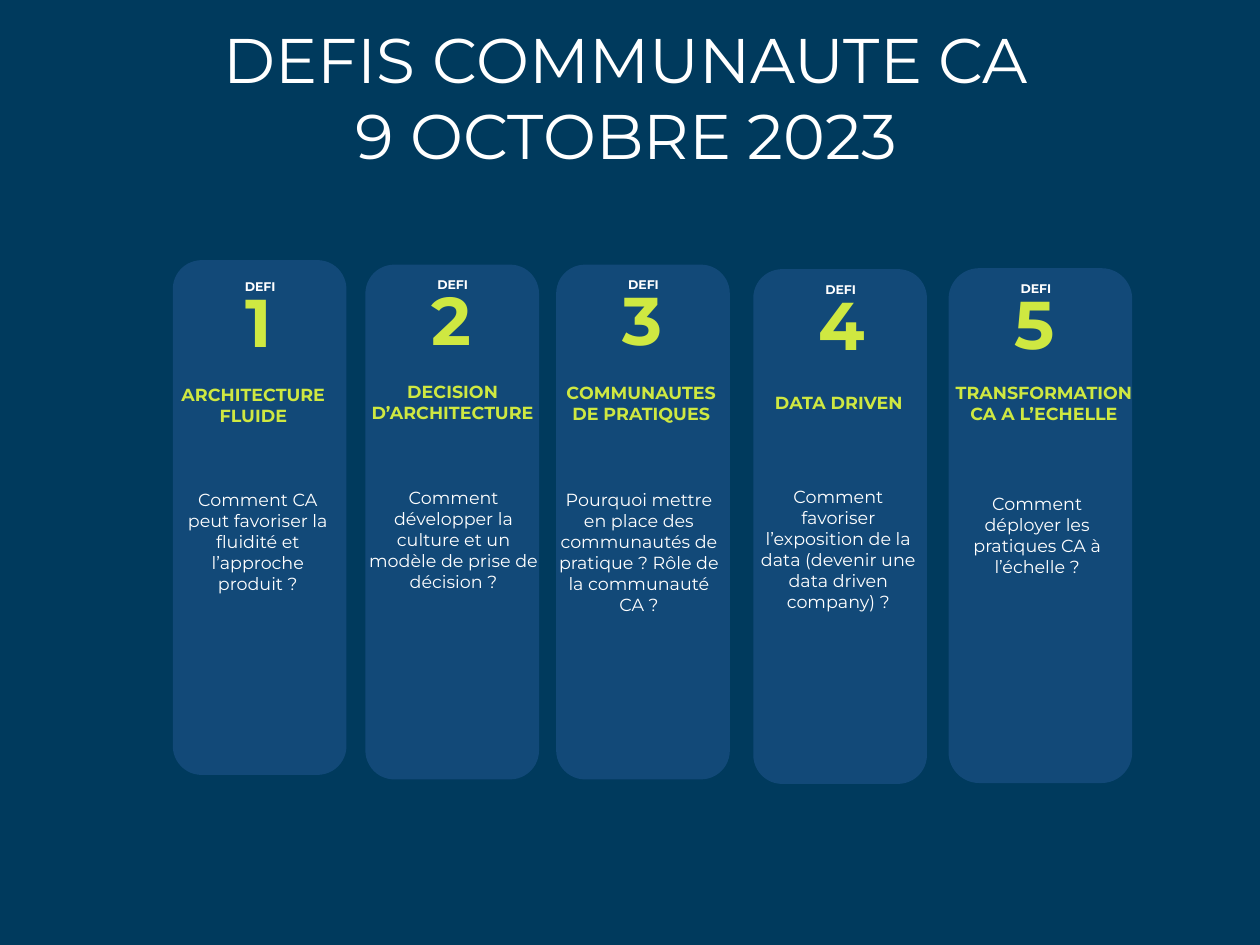
from dataclasses import dataclass

from lxml import etree
from pptx import Presentation
from pptx.dml.color import RGBColor
from pptx.enum.shapes import MSO_SHAPE as Shape
from pptx.enum.text import MSO_ANCHOR as Anchor, MSO_AUTO_SIZE as AutoSize, PP_ALIGN as Align
from pptx.oxml.ns import qn
from pptx.util import Inches, Pt

NAVY = RGBColor(0x00, 0x3A, 0x5D)
BLUE = RGBColor(0x44, 0x72, 0xC4)
LIME = RGBColor(0xCF, 0xE8, 0x41)
WHITE = RGBColor(0xFF, 0xFF, 0xFF)

FONT = "Montserrat"
TITLE = {"size": Pt(50.4), "bold": False, "color": WHITE}
LABEL = {"size": Pt(10), "bold": True, "color": WHITE}
NUMBER = {"size": Pt(54), "bold": True, "color": LIME}
HEADING = {"size": Pt(14), "bold": True, "color": LIME}
QUESTION = {"size": Pt(14), "bold": False, "color": WHITE}
PANEL_OPACITY = 27


@dataclass
class Challenge:
    """One challenge card; the inner boxes are measured from the panel's corner."""
    panel: tuple
    number_top: float
    heading: str
    heading_box: tuple
    question: str
    question_box: tuple


CHALLENGES = [
    Challenge((1.92, 2.89, 1.93, 5.72), 0.17,
              "ARCHITECTURE FLUIDE", (-0.07, 1.33, 1.93, 0.57),
              "Comment CA peut favoriser la fluidité et l’approche produit ?",
              (-0.01, 2.49, 1.91, 1.28)),
    Challenge((4.06, 2.94, 1.93, 5.72), 0.1,
              "DECISION\nD’ARCHITECTURE", (-0.08, 1.24, 2.1, 0.57),
              "Comment développer la culture et un modèle de prise de décision ?",
              (-0.09, 2.42, 2.14, 1.28)),
    Challenge((6.18, 2.94, 1.93, 5.72), 0.1,
              "COMMUNAUTES DE PRATIQUES", (-0.02, 1.26, 1.93, 0.57),
              "Pourquoi mettre en place des communautés de pratique ? "
              "Rôle de la communauté CA ?",
              (-0.1, 2.44, 2.04, 1.51)),
    Challenge((8.37, 2.99, 1.93, 5.72), 0.1,
              "DATA DRIVEN", (-0.04, 1.32, 1.98, 0.34),
              "Comment favoriser l’exposition de la data "
              "(devenir une data driven company) ?",
              (-0.09, 2.36, 2.07, 1.51)),
    Challenge((10.54, 2.98, 2.04, 5.72), 0.1,
              "TRANSFORMATION CA A L’ECHELLE", (-0.08, 1.22, 2.28, 0.57),
              "Comment déployer les pratiques CA à l’échelle ?",
              (0.02, 2.45, 1.93, 1.04)),
]


def write_text(shape, text, style, wrap=True, margin=None):
    """Fill a shape with centred paragraphs in the given style."""
    frame = shape.text_frame
    frame.text = text
    frame.word_wrap = wrap
    frame.auto_size = AutoSize.SHAPE_TO_FIT_TEXT
    frame.vertical_anchor = Anchor.TOP
    if margin is not None:
        for side in ("left", "top", "right", "bottom"):
            setattr(frame, f"margin_{side}", margin)
    for paragraph in frame.paragraphs:
        paragraph.alignment = Align.CENTER
        paragraph.font.name = FONT
        for name, value in style.items():
            if name == "color":
                paragraph.font.color.rgb = value
            else:
                setattr(paragraph.font, name, value)


def add_text(slide, box, text, style, **options):
    """Add a text box at a box given in inches."""
    shape = slide.shapes.add_textbox(*map(Inches, box))
    write_text(shape, text, style, **options)


def add_panel(slide, box):
    """Add a translucent rounded panel."""
    shape = slide.shapes.add_shape(Shape.ROUNDED_RECTANGLE, *map(Inches, box))
    shape.shadow.inherit = False
    shape.fill.solid()
    shape.fill.fore_color.rgb = BLUE
    shape.line.fill.background()
    color = shape.fill._xPr.find(qn("a:solidFill")).find(qn("a:srgbClr"))
    etree.SubElement(color, qn("a:alpha"), val=str(PANEL_OPACITY * 1000))


def add_title(slide, box):
    """Place and format the title placeholder."""
    title = slide.shapes.title
    title.left, title.top, title.width, title.height = map(Inches, box)
    write_text(title, "DEFIS COMMUNAUTE CA\n9 OCTOBRE 2023", TITLE, wrap=False)


def add_challenge(slide, number, challenge):
    """Add a panel with its label, number, heading and question."""
    left, top = challenge.panel[:2]

    def inside(box):
        return (left + box[0], top + box[1], *box[2:])

    add_panel(slide, challenge.panel)
    add_text(slide, inside((0.63, challenge.number_top, 0.65, 1.01)),
             str(number), NUMBER, wrap=False)
    add_text(slide, inside((0.78, challenge.number_top + 0.04, 0.38, 0.17)),
             "DEFI", LABEL, margin=0)
    add_text(slide, inside(challenge.heading_box), challenge.heading, HEADING)
    add_text(slide, inside(challenge.question_box), challenge.question, QUESTION)


def main():
    """Build and save the slide."""
    presentation = Presentation()
    presentation.slide_width = Inches(14)
    presentation.slide_height = Inches(10.5)
    slide = presentation.slides.add_slide(presentation.slide_layouts[5])
    slide.background.fill.solid()
    slide.background.fill.fore_color.rgb = NAVY
    add_title(slide, (2.19, 0.18, 9.53, 1.8))
    for number, challenge in enumerate(CHALLENGES, start=1):
        add_challenge(slide, number, challenge)
    presentation.save("out.pptx")


if __name__ == "__main__":
    main()
